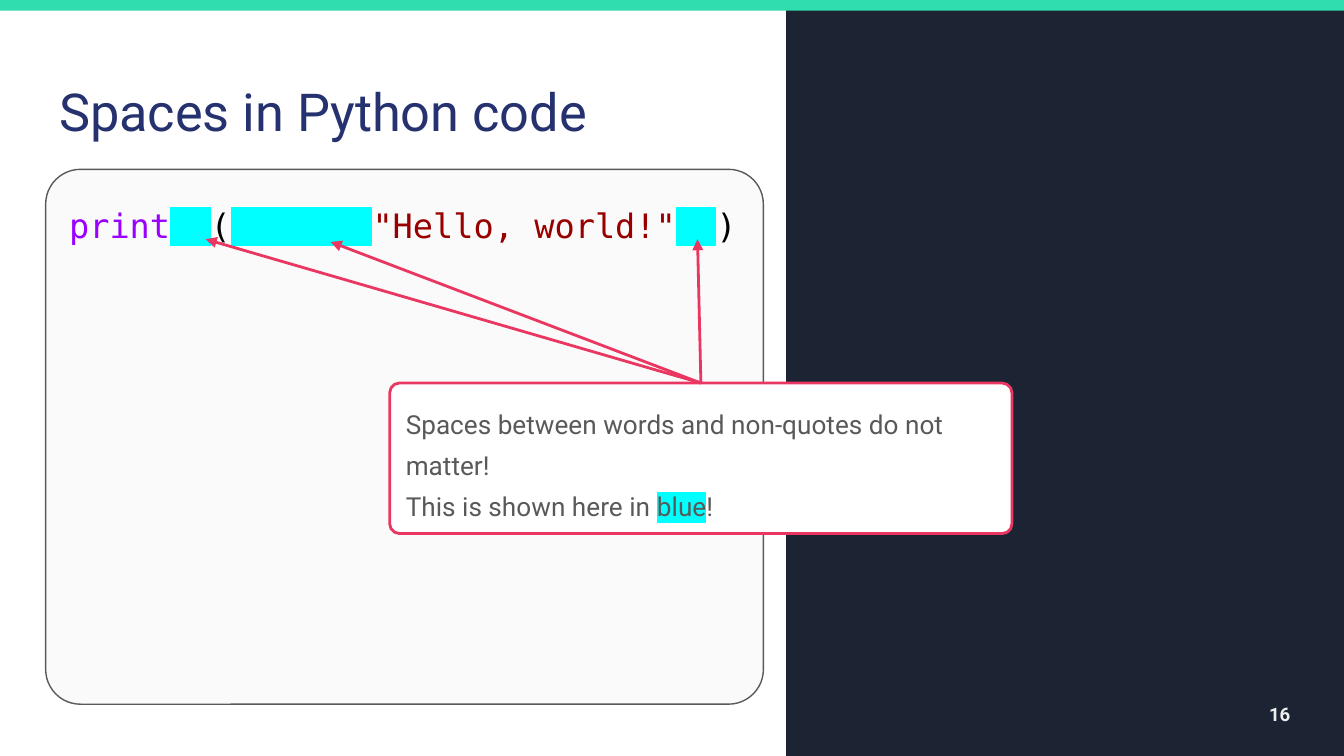
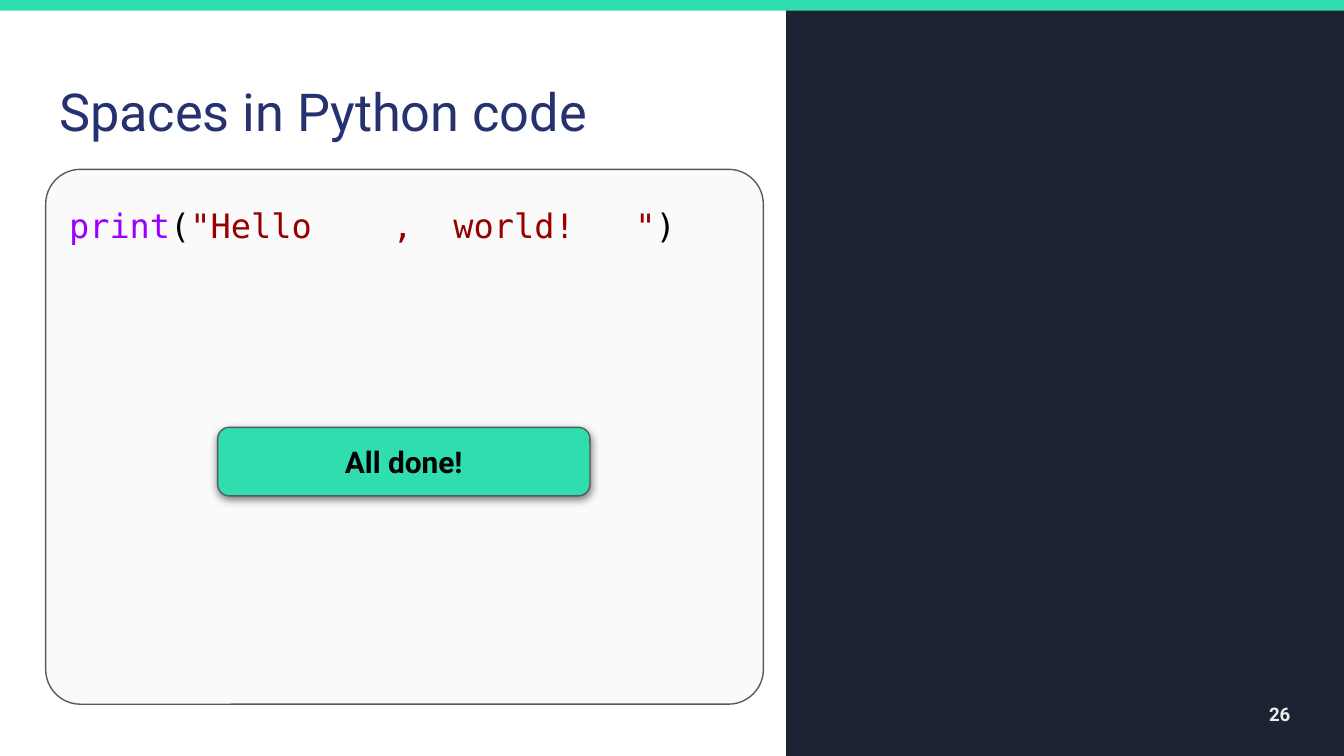
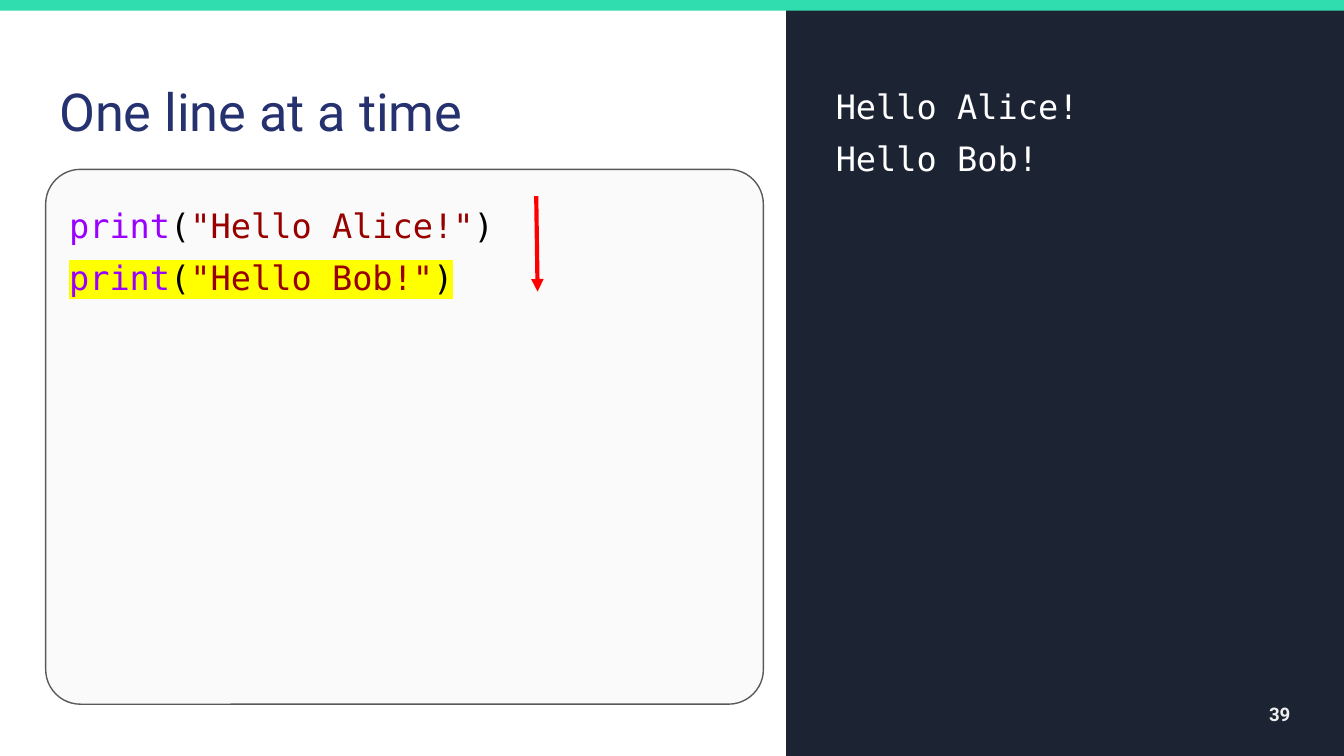
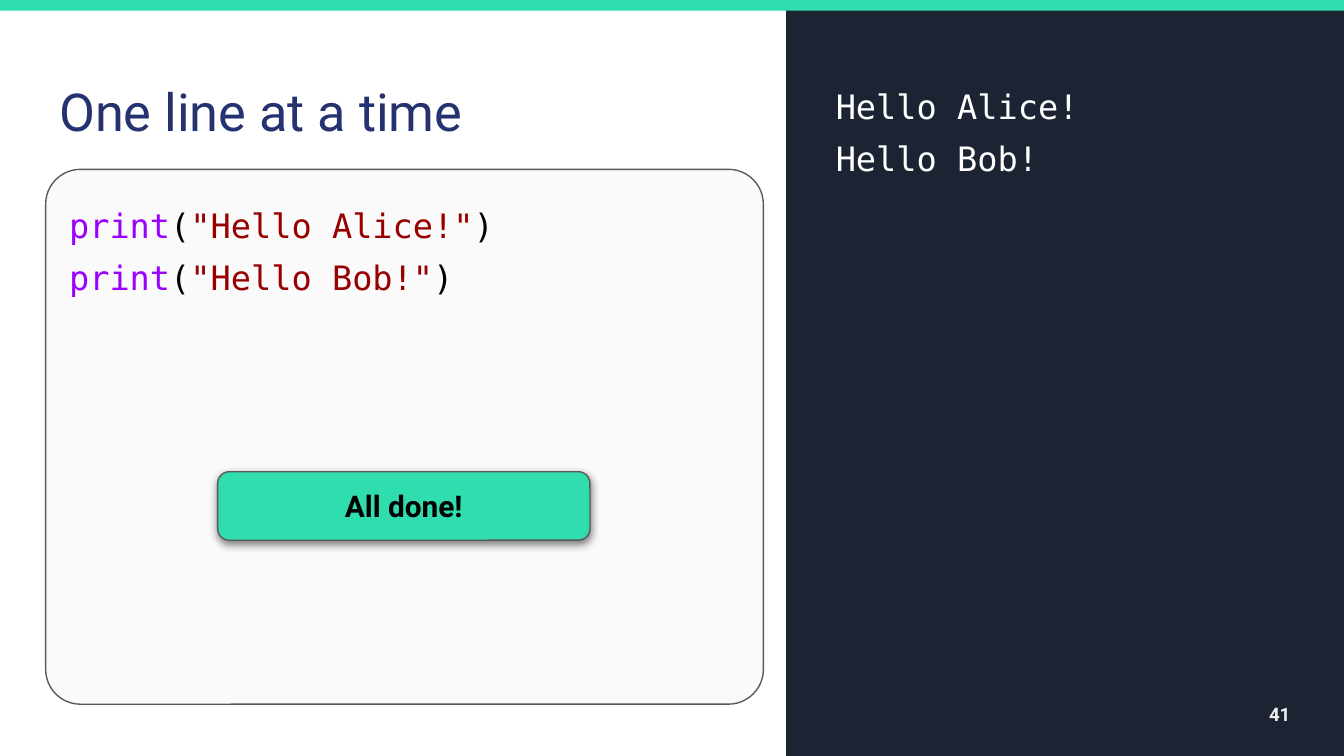
from dataclasses import dataclass
from typing import NamedTuple, Optional

from lxml.etree import SubElement
from pptx import Presentation
from pptx.dml.color import RGBColor
from pptx.enum.shapes import MSO_CONNECTOR, MSO_SHAPE
from pptx.enum.text import MSO_ANCHOR, MSO_AUTO_SIZE, PP_ALIGN
from pptx.oxml.ns import qn
from pptx.util import Inches, Pt

# Grid: 100 columns across the slide, square cells
SLIDE_W, SLIDE_H = Inches(10), Inches(5.625)
CELL = SLIDE_W / 100

# Theme
SANS, MONO = "Roboto", "DejaVu Sans Mono"
WHITE, BLACK, GRAY, PALE = "FFFFFF", "000000", "595959", "FAFAFA"
NAVY, DARK, MINT, PINK, RED = "25326F", "1C2333", "30DDAE", "E93761", "FF0000"
PURPLE, MAROON, LIGHT = "9900FF", "980000", "EEEEEE"
CYAN, YELLOW = "00FFFF", "FFFF00"
CODE_SPACING = 1.3


class Box(NamedTuple):
    """Place in grid cells."""
    left: float
    top: float
    width: float
    height: float


class Point(NamedTuple):
    col: float
    row: float


class Token(NamedTuple):
    text: str
    color: str
    mark: Optional[str] = None


Line = list[Token]


@dataclass(frozen=True)
class TextStyle:
    font: str
    size: float
    bold: bool = False
    align: PP_ALIGN = PP_ALIGN.LEFT
    anchor: MSO_ANCHOR = MSO_ANCHOR.TOP
    spacing: Optional[float] = None


@dataclass(frozen=True)
class Panel:
    box: Box
    fill: str
    line: Optional[str] = None
    weight: float = 0.75
    corner: Optional[float] = None


@dataclass(frozen=True)
class Arrow:
    start: Point
    end: Point
    color: str
    weight: float


@dataclass(frozen=True)
class CodeSlide:
    title: str
    number: int
    code: list[Line]
    output: tuple[str, ...] = ()
    done_row: Optional[float] = None
    note: tuple[Line, ...] = ()
    arrows: tuple[Arrow, ...] = ()


# Shared styles and places
TITLE = TextStyle(SANS, 28)
NUMBER = TextStyle(SANS, 10, True, PP_ALIGN.RIGHT, MSO_ANCHOR.MIDDLE)
CODE = TextStyle(MONO, 18, spacing=CODE_SPACING)
NOTE = TextStyle(SANS, 14, spacing=CODE_SPACING)
BUTTON = TextStyle(SANS, 16, True, PP_ALIGN.CENTER, MSO_ANCHOR.MIDDLE)

TITLE_BOX = Box(3.4, 4.9, 53.4, 6.3)
NUMBER_BOX = Box(91, 51, 6, 4.3)
OUTPUT_BOX = Box(61.2, 4.5, 35.8, 39.8)
NOTE_BOX = Box(29, 28.5, 46.3, 11.2)

CONSOLE = Panel(Box(58.5, 0, 41.6, 56.4), DARK)
TOP_BAND = Panel(Box(-0.1, 0, 100.2, 0.8), MINT)
EDITOR = Panel(Box(3.4, 12.6, 53.4, 39.8), PALE, GRAY, corner=0.065)
NOTE_PANEL = Panel(NOTE_BOX, WHITE, PINK, 1.5, corner=0.065)


# Drawing helpers
def rgb(color: str) -> RGBColor:
    return RGBColor.from_string(color)


def cells(*counts: float) -> list[int]:
    return [round(n * CELL) for n in counts]


def write(shape, lines, style: TextStyle) -> None:
    tf = shape.text_frame
    tf.word_wrap = True
    tf.auto_size = MSO_AUTO_SIZE.NONE
    tf.vertical_anchor = style.anchor
    tf.margin_left = tf.margin_right = tf.margin_top = tf.margin_bottom = Inches(0.1)
    for i, line in enumerate(lines):
        p = tf.add_paragraph() if i else tf.paragraphs[0]
        p.alignment = style.align
        if style.spacing:
            p.line_spacing = style.spacing
        p.font.name, p.font.size, p.font.bold = style.font, Pt(style.size), style.bold
        for token in line:
            r = p.add_run()
            r.text = token.text
            r.font.color.rgb = rgb(token.color)
            if token.mark:
                highlight = SubElement(r.font._element, qn("a:highlight"))
                SubElement(highlight, qn("a:srgbClr"), val=token.mark)


def add_panel(slide, panel: Panel):
    kind = MSO_SHAPE.ROUNDED_RECTANGLE if panel.corner else MSO_SHAPE.RECTANGLE
    sp = slide.shapes.add_shape(kind, *cells(*panel.box))
    sp.shadow.inherit = False
    if panel.corner:
        sp.adjustments[0] = panel.corner
    sp.fill.solid()
    sp.fill.fore_color.rgb = rgb(panel.fill)
    if panel.line:
        sp.line.color.rgb = rgb(panel.line)
        sp.line.width = Pt(panel.weight)
    else:
        sp.line.fill.background()
    return sp


def add_text(slide, box: Box, lines, style: TextStyle) -> None:
    write(slide.shapes.add_textbox(*cells(*box)), lines, style)


def add_arrow(slide, arrow: Arrow) -> None:
    line = slide.shapes.add_connector(
        MSO_CONNECTOR.STRAIGHT, *cells(*arrow.start, *arrow.end))
    line.line.color.rgb = rgb(arrow.color)
    line.line.width = Pt(arrow.weight)
    spPr = line._element.spPr
    SubElement(spPr.find(qn("a:ln")), qn("a:tailEnd"), type="triangle")
    SubElement(spPr, qn("a:effectLst"))


def add_done_button(slide, row: float) -> None:
    sp = add_panel(slide, Panel(Box(16.2, row, 27.7, 5.1), MINT, GRAY, corner=0.167))
    effects = sp._element.spPr.find(qn("a:effectLst"))
    shadow = SubElement(effects, qn("a:outerShdw"), blurRad=str(Pt(4.5)),
                        dist=str(Pt(1.5)), dir=str(90 * 60000),
                        algn="bl", rotWithShape="0")
    color = SubElement(shadow, qn("a:srgbClr"), val=BLACK)
    SubElement(color, qn("a:alpha"), val="50000")
    write(sp, [[Token("All done!", BLACK)]], BUTTON)


def print_call(text: str, mark: Optional[str] = None) -> Line:
    return [Token("print", PURPLE, mark), Token("(", BLACK, mark),
            Token(f'"{text}"', MAROON, mark), Token(")", BLACK, mark)]


def spaced_call(text: str, *gaps: int) -> Line:
    """A print call with marked spaces after its first three tokens."""
    *head, last = print_call(text)
    line = []
    for token, gap in zip(head, gaps):
        line += [token, Token(" " * gap, GRAY, CYAN)]
    return line + [last]


def add_code_slide(prs, page: CodeSlide) -> None:
    slide = prs.slides.add_slide(prs.slide_layouts.get_by_name("Title Only"))
    # Frame
    add_panel(slide, CONSOLE)
    title = slide.shapes.title
    title.left, title.top, title.width, title.height = cells(*TITLE_BOX)
    write(title, [[Token(page.title, NAVY)]], TITLE)
    add_panel(slide, TOP_BAND)
    add_text(slide, NUMBER_BOX, [[Token(str(page.number), LIGHT)]], NUMBER)
    # Code and its output
    write(add_panel(slide, EDITOR), page.code, CODE)
    if page.output:
        add_text(slide, OUTPUT_BOX, [[Token(t, WHITE)] for t in page.output], CODE)
    # Annotations
    if page.note:
        write(add_panel(slide, NOTE_PANEL), page.note, NOTE)
    for arrow in page.arrows:
        add_arrow(slide, arrow)
    if page.done_row is not None:
        add_done_button(slide, page.done_row)


# Content
SPACES, LINES = "Spaces in Python code", "One line at a time"
GREETINGS = ("Hello Alice!", "Hello Bob!")
NOTE_TOP = Point(NOTE_BOX.left + NOTE_BOX.width / 2, NOTE_BOX.top)
GAP_POINTS = (Point(24.6, 18), Point(15.3, 17.8), Point(51.9, 17.8))

PAGES = [
    CodeSlide(
        SPACES, 16, [spaced_call("Hello, world!", 2, 7, 2)],
        note=([Token("Spaces between words and non-quotes do not matter!", GRAY)],
              [Token("This is shown here in ", GRAY), Token("blue", GRAY, CYAN),
               Token("!", GRAY)]),
        arrows=tuple(Arrow(NOTE_TOP, gap, PINK, 1.5) for gap in GAP_POINTS)),
    CodeSlide(SPACES, 26, [print_call("Hello    ,  world!   ")], done_row=31.8),
    CodeSlide(
        LINES, 39, [print_call(GREETINGS[0]), print_call(GREETINGS[1], YELLOW)],
        output=GREETINGS,
        arrows=(Arrow(Point(39.9, 14.6), Point(40, 21.7), RED, 2.25),)),
    CodeSlide(LINES, 41, [print_call(t) for t in GREETINGS],
              output=GREETINGS, done_row=35.1),
]


def main() -> None:
    prs = Presentation()
    prs.slide_width, prs.slide_height = SLIDE_W, SLIDE_H
    for page in PAGES:
        add_code_slide(prs, page)
    prs.save("out.pptx")


if __name__ == "__main__":
    main()
